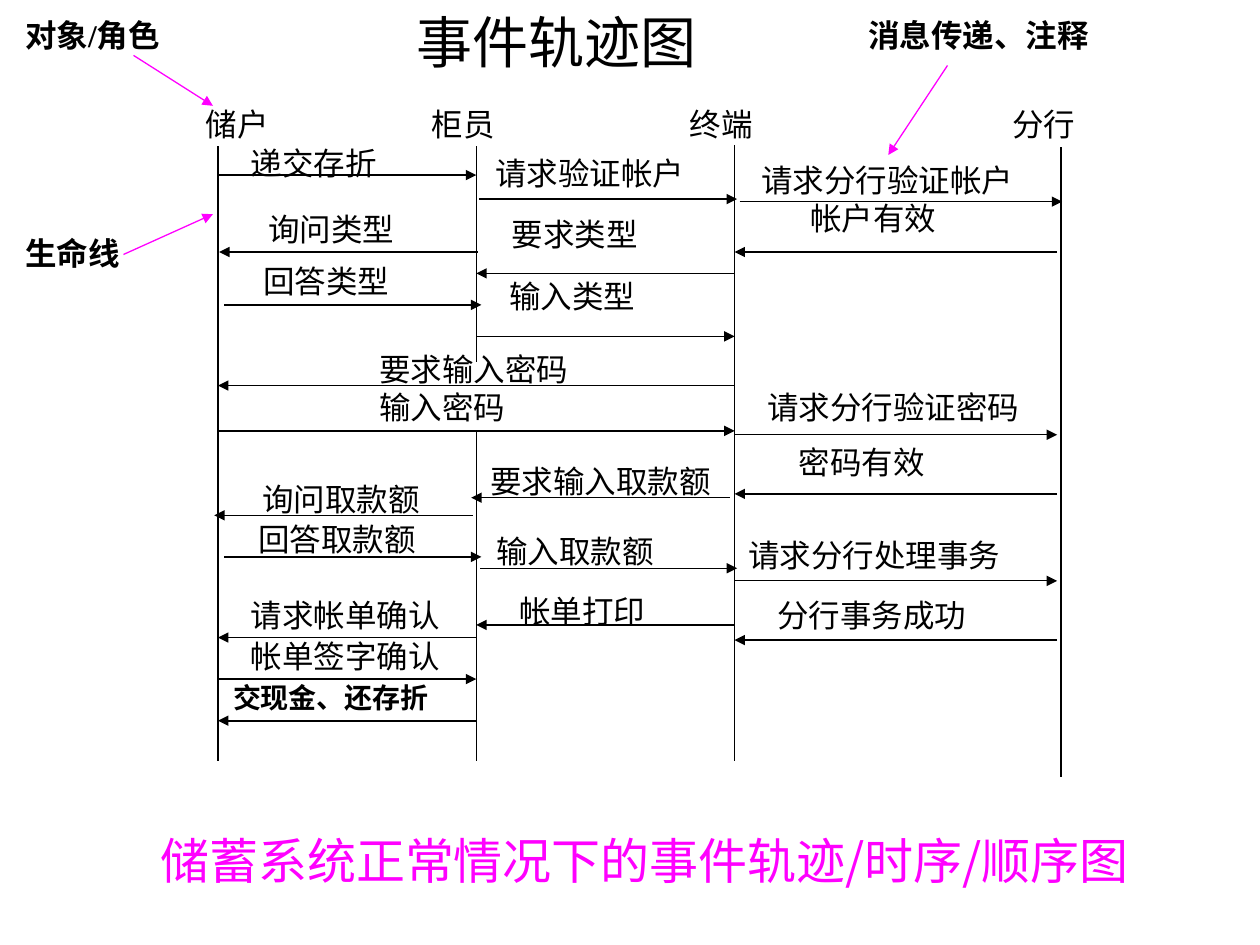
from dataclasses import dataclass

from lxml import etree
from pptx import Presentation
from pptx import util as u
from pptx.dml.color import RGBColor
from pptx.enum import shapes, text
from pptx.oxml.ns import qn

BLACK = RGBColor(0x00, 0x00, 0x00)
WHITE = RGBColor(0xFF, 0xFF, 0xFF)
MAGENTA = RGBColor(0xFF, 0x00, 0xFF)
SERIF = "Times New Roman"
SANS = "Noto Sans CJK SC"
ALIGN = text.PP_ALIGN

# Horizontal positions of the lifelines; the branch's arrows stop just short
CUSTOMER, TELLER, TERMINAL, BRANCH = 1.73, 3.78, 5.83, 8.42
BRANCH_END = 8.39


@dataclass
class Message:
    words: str
    box: tuple[float, float, float, float]
    start: float
    end: float
    y: float
    size: int = 18
    bold: bool = False
    weight: float = 0.75


@dataclass
class Note:
    words: str
    box: tuple[float, float, float, float]
    start: tuple[float, float]
    end: tuple[float, float]


ROLES = [("储户", 1.5), ("柜员", 3.29), ("终端", 5.34), ("分行", 7.9)]

LIFELINES = [
    (CUSTOMER, 1.16, 6.04),
    (TELLER, 1.16, 2.87),
    (TELLER, 3.42, 6.04),
    (TERMINAL, 1.15, 6.04),
    (BRANCH, 1.17, 6.17),
]

MESSAGES = [
    # Customer and teller
    Message("递交存折", (1.99, 1.14, 1.53, 0.3), CUSTOMER, TELLER, 1.39),
    Message("询问类型", (2.13, 1.67, 1.22, 0.26), 3.79, 1.74, 2),
    Message("回答类型", (2.09, 2.08, 1.22, 0.26), 1.78, 3.82, 2.42),
    Message("询问取款额", (2.08, 3.81, 1.49, 0.26), 3.75, 1.7, 4.09),
    Message("回答取款额", (2.05, 4.13, 1.49, 0.26), 1.78, 3.82, 4.42),
    Message("请求帐单确认", (1.99, 4.73, 1.53, 0.33), TELLER, CUSTOMER, 5.06),
    Message("帐单签字确认", (1.99, 5.06, 1.53, 0.33), CUSTOMER, TELLER, 5.39),
    Message("交现金、还存折", (1.85, 5.4, 1.79, 0.24), TELLER, CUSTOMER, 5.72,
            size=16, bold=True, weight=1),
    # Customer and terminal
    Message("要求输入密码", (3.01, 2.78, 1.54, 0.32), TERMINAL, CUSTOMER, 3.06),
    Message("输入密码", (3.01, 3.08, 1.28, 0.33), CUSTOMER, TERMINAL, 3.42),
    # Teller and terminal
    Message("请求验证帐户", (3.93, 1.22, 1.53, 0.33), 3.8, 5.85, 1.58),
    Message("要求类型", (4.06, 1.71, 1.28, 0.27), TERMINAL, TELLER, 2.17),
    Message("输入类型", (4.04, 2.2, 1.28, 0.27), TELLER, TERMINAL, 2.67),
    Message("要求输入取款额", (3.89, 3.67, 1.79, 0.33), 5.79, 3.74, 3.95),
    Message("输入取款额", (3.94, 4.22, 1.53, 0.33), 3.81, 5.85, 4.51),
    Message("帐单打印", (4.12, 4.7, 1.28, 0.32), TERMINAL, TELLER, 4.96),
    # Terminal and branch
    Message("请求分行验证帐户", (6.04, 1.28, 2.05, 0.33), 5.87, 8.43, 1.6),
    Message("帐户有效", (6.43, 1.58, 1.13, 0.3), BRANCH_END, TERMINAL, 2),
    Message("请求分行验证密码", (6.09, 3.08, 2.05, 0.33), TERMINAL, BRANCH_END, 3.45),
    Message("密码有效", (6.34, 3.52, 1.28, 0.33), BRANCH_END, TERMINAL, 3.92),
    Message("请求分行处理事务", (5.94, 4.25, 2.2, 0.28), TERMINAL, BRANCH_END, 4.61),
    Message("分行事务成功", (6.17, 4.73, 1.79, 0.27), BRANCH_END, TERMINAL, 5.08),
]

NOTES = [
    Note("对象/角色", (0.2, 0.13, 1.26, 0.33), (1.06, 0.44), (1.69, 0.84)),
    Note("生命线", (0.2, 1.86, 1.26, 0.33), (0.98, 2.02), (1.69, 1.7)),
    Note("消息传递、注释", (6.89, 0.13, 2.05, 0.33), (7.52, 0.52), (7.05, 1.23)),
]


def set_words(frame, words: str, align, color: RGBColor, **font_format) -> None:
    paragraph = frame.paragraphs[0]
    paragraph.alignment = align
    run = paragraph.add_run()
    run.text = words
    run.font.color.rgb = color
    for name, value in font_format.items():
        setattr(run.font, name, value)


def draw_label(slide, words: str, box: tuple, align, size: int = 18,
               bold: bool = False, font: str = SERIF, color: RGBColor = BLACK) -> None:
    label = slide.shapes.add_shape(shapes.MSO_SHAPE.RECTANGLE, *map(u.Inches, box))
    label.shadow.inherit = False
    label.fill.solid()
    label.fill.fore_color.rgb = WHITE
    label.line.fill.background()
    frame_format = dict(margin_left=0, margin_top=0, margin_right=0, margin_bottom=0,
                        word_wrap=True, vertical_anchor=text.MSO_ANCHOR.TOP)
    for name, value in frame_format.items():
        setattr(label.text_frame, name, value)
    set_words(label.text_frame, words, align, color,
              size=u.Pt(size), bold=bold, name=font)


def draw_line(slide, start: tuple, end: tuple, color: RGBColor = BLACK,
              weight: float = 0.75, arrow: bool = True) -> None:
    line = slide.shapes.add_connector(
        shapes.MSO_CONNECTOR.STRAIGHT, *map(u.Inches, (*start, *end)))
    line.line.color.rgb = color
    line.line.width = u.Pt(weight)
    if arrow:
        etree.SubElement(line.line._get_or_add_ln(), qn("a:tailEnd"), type="triangle")
    etree.SubElement(line._element.spPr, qn("a:effectLst"))


def main() -> None:
    deck = Presentation()
    deck.slide_width, deck.slide_height = u.Inches(10), u.Inches(7.5)
    slide = deck.slides.add_slide(deck.slide_layouts[5])

    # Title
    title = slide.shapes.title
    place = dict(left=2.09, top=0.13, width=4.65, height=0.39)
    for name, value in place.items():
        setattr(title, name, u.Inches(value))
    title.text_frame.auto_size = text.MSO_AUTO_SIZE.NONE
    title.text_frame.vertical_anchor = text.MSO_ANCHOR.MIDDLE
    set_words(title.text_frame, "事件轨迹图", ALIGN.CENTER, BLACK,
              size=u.Pt(32), name=SERIF)

    # Caption
    draw_label(slide, "储蓄系统正常情况下的事件轨迹/时序/顺序图",
               (1.06, 6.59, 8.11, 0.42), ALIGN.CENTER, 28, font=SANS, color=MAGENTA)

    # Roles and message wording
    for role, left in ROLES:
        draw_label(slide, role, (left, 0.83, 0.77, 0.33), ALIGN.CENTER)
    for message in MESSAGES:
        draw_label(slide, message.words, message.box, ALIGN.JUSTIFY,
                   message.size, message.bold)

    # Lifelines and message arrows
    for x, top, bottom in LIFELINES:
        draw_line(slide, (x, top), (x, bottom), arrow=False)
    for message in MESSAGES:
        draw_line(slide, (message.start, message.y), (message.end, message.y),
                  weight=message.weight)

    # Notes that explain the notation
    for note in NOTES:
        draw_label(slide, note.words, note.box, ALIGN.LEFT, bold=True)
        draw_line(slide, note.start, note.end, MAGENTA)

    deck.save("out.pptx")


if __name__ == "__main__":
    main()
